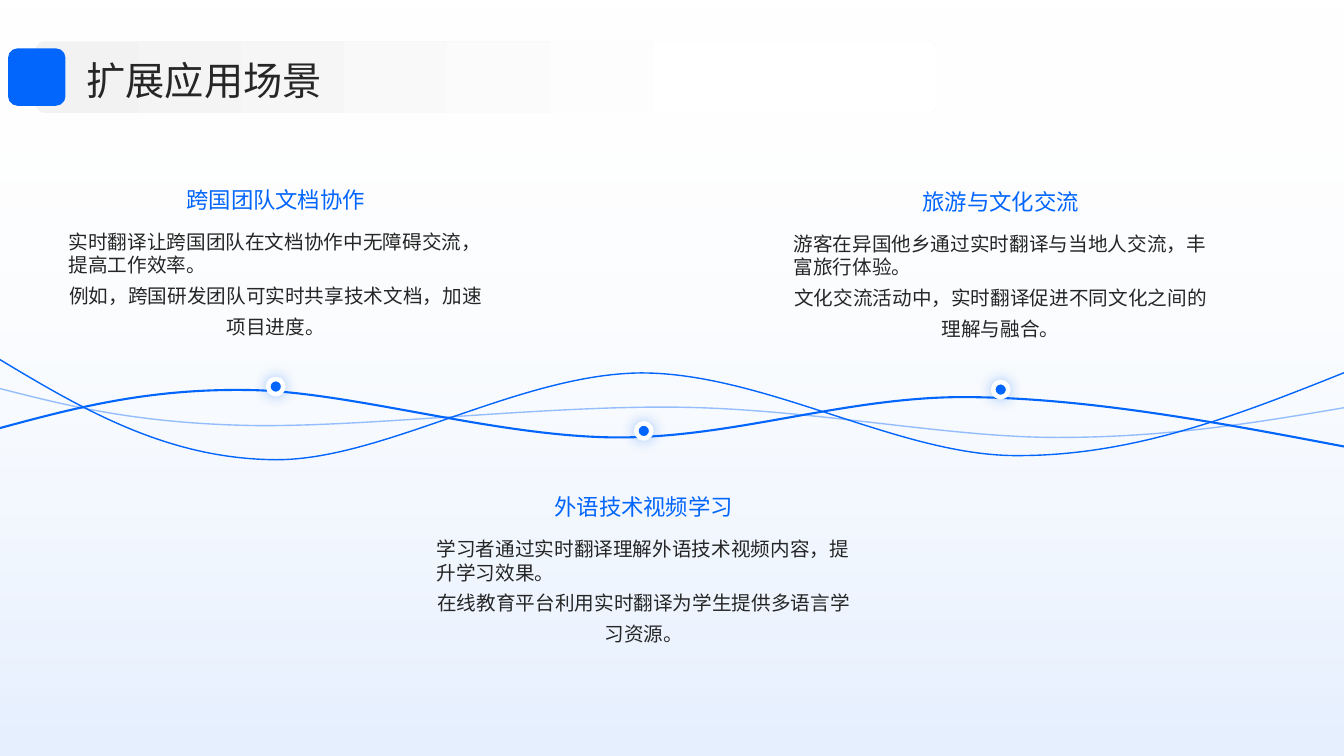
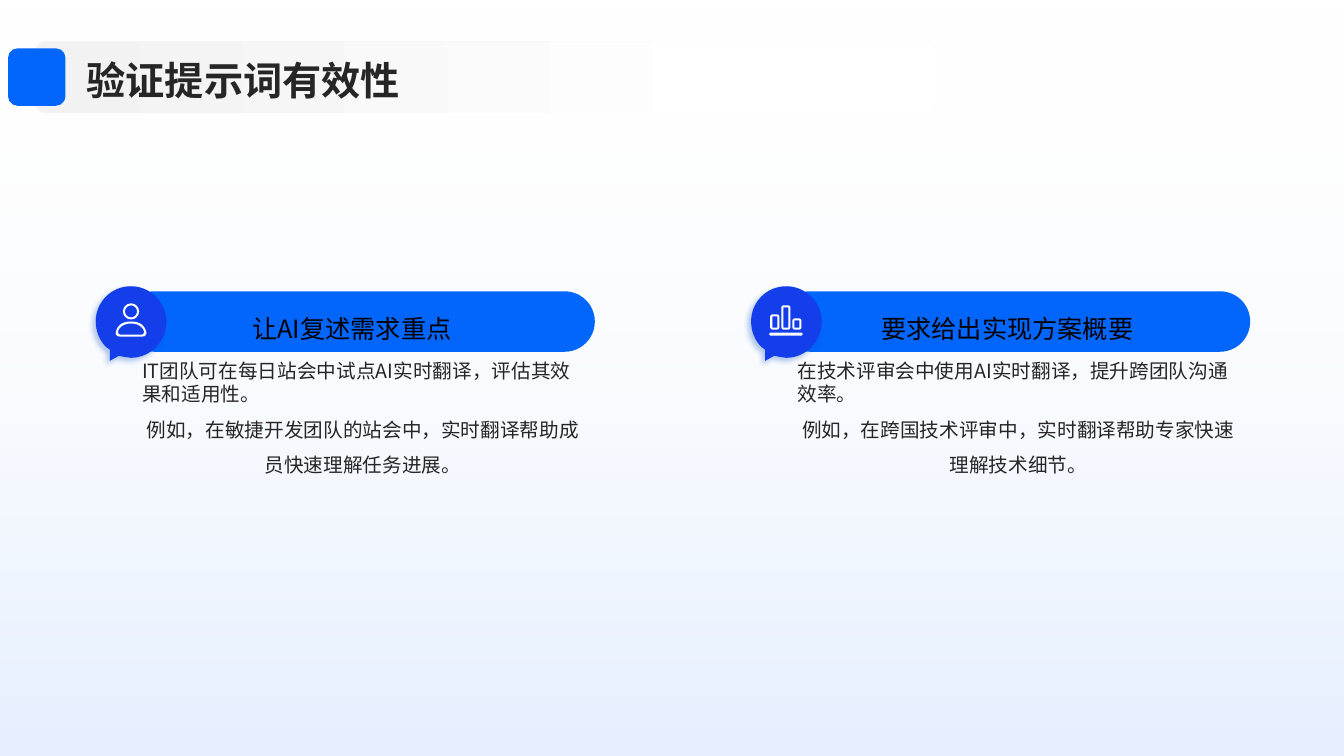
from lxml import etree
from pptx import Presentation
from pptx.dml.color import RGBColor
from pptx.enum import shapes, text
from pptx.oxml.ns import qn
from pptx.util import Pt

PX = 9144  # EMU per px, 100 px to the inch
SLIDE_W, SLIDE_H = 1333, 750
FONT = "Noto Sans CJK SC"

BLUE = RGBColor(0x02, 0x65, 0xFC)
DEEP_BLUE = RGBColor(0x15, 0x3E, 0xEB)
PALE_BLUE = RGBColor(0xCC, 0xE0, 0xFF)
DOT_GLOW = RGBColor(0x1A, 0x74, 0xFD)
BUBBLE_SHADE = RGBColor(0x01, 0x4C, 0xBD)
BAND_GREY = RGBColor(0xF2, 0xF2, 0xF2)
INK = RGBColor(0x26, 0x26, 0x26)
BLACK = RGBColor(0, 0, 0)
WHITE = RGBColor(0xFF, 0xFF, 0xFF)

RECT = shapes.MSO_SHAPE.RECTANGLE
ROUND = shapes.MSO_SHAPE.ROUNDED_RECTANGLE
OVAL = shapes.MSO_SHAPE.OVAL
LEFT, CENTER = text.PP_ALIGN.LEFT, text.PP_ALIGN.CENTER
TOP, MIDDLE, BOTTOM = (text.MSO_ANCHOR.TOP, text.MSO_ANCHOR.MIDDLE,
                       text.MSO_ANCHOR.BOTTOM)

# Contours: a start point, then segments of 2 (line) or 6 (curve) numbers.
# Each wave adds its line width and opacity in percent.
WAVES = [
    ((-1, 425), [(73, 405, 147, 385, 249, 387), (350, 389, 491, 433, 610, 434),
                 (728, 435, 839, 393, 960, 394), (1080, 395, 1207, 419, 1333, 443)],
     1.5, 100),
    ((-6, 384), [(61, 401, 128, 419, 242, 422), (355, 425, 539, 402, 674, 404),
                 (808, 406, 938, 434, 1049, 434), (1159, 434, 1248, 419, 1336, 404)],
     1, 40),
    ((-3, 355), [(80, 405, 163, 454, 269, 456), (376, 459, 513, 371, 636, 370),
                 (759, 370, 893, 453, 1010, 452), (1126, 452, 1230, 411, 1335, 369)],
     1, 100),
]
BUBBLE = ((130, 284), [(149, 284, 165, 300, 165, 319), (165, 339, 149, 355, 130, 355),
                       (127, 355, 125, 354, 123, 354), (118, 353), (109, 358),
                       (109, 347), (105, 344), (99, 338, 95, 329, 95, 319),
                       (95, 300, 110, 284, 130, 284)])
SHOULDERS_INNER = ((130, 321), [(138, 321, 142, 325, 143, 329), (143, 331, 142, 332, 141, 332),
                                (119, 332), (118, 332, 117, 331, 117, 329),
                                (118, 325, 122, 321, 130, 321)])
SHOULDERS_OUTER = ((130, 319), [(120, 319, 116, 324, 115, 329), (114, 332, 116, 334, 119, 334),
                                (141, 334), (144, 334, 146, 332, 145, 329),
                                (144, 324, 140, 319, 130, 319)])

SCENES = [  # left, top, heading, statement, example
    (68, 140, "跨国团队文档协作",
     "实时翻译让跨国团队在文档协作中无障碍交流，提高工作效率。",
     "例如，跨国研发团队可实时共享技术文档，加速项目进度。"),
    (787, 142, "旅游与文化交流",
     "游客在异国他乡通过实时翻译与当地人交流，丰富旅行体验。",
     "文化交流活动中，实时翻译促进不同文化之间的理解与融合。"),
    (433, 445, "外语技术视频学习",
     "学习者通过实时翻译理解外语技术视频内容，提升学习效果。",
     "在线教育平台利用实时翻译为学生提供多语言学习资源。"),
]
DOT_TOPS = [376, 379, 420]

CHECKS = [
    ("让AI复述需求重点",
     "IT团队可在每日站会中试点AI实时翻译，评估其效果和适用性。",
     "例如，在敏捷开发团队的站会中，实时翻译帮助成员快速理解任务进展。"),
    ("要求给出实现方案概要",
     "在技术评审会中使用AI实时翻译，提升跨团队沟通效率。",
     "例如，在跨国技术评审中，实时翻译帮助专家快速理解技术细节。"),
]
CHECK_STEP = 650


# Shapes

def set_alpha(color_element, percent):
    etree.SubElement(color_element, qn("a:alpha")).set("val", str(percent * 1000))


def paint(shape, fill=None, line=None, line_pt=1):
    shape.shadow.inherit = False
    if fill is None:
        shape.fill.background()
    else:
        shape.fill.solid()
        shape.fill.fore_color.rgb = fill
    if line is None:
        shape.line.fill.background()
    else:
        shape.line.color.rgb = line
        shape.line.width = Pt(line_pt)
    return shape


def add_preset(slide, kind, box, fill=None, line=None, line_pt=1, corner=None):
    shape = slide.shapes.add_shape(kind, *(n * PX for n in box))
    if corner is not None:
        shape.adjustments[0] = corner
    return paint(shape, fill, line, line_pt)


def add_gradient(shape, stops, angle, alphas=()):
    shape.fill.gradient()
    shape.fill.gradient_angle = angle
    for stop, (position, color) in zip(shape.fill.gradient_stops, stops):
        stop.position = position
        stop.color.rgb = color
    colors = list(shape._element.spPr.iter(qn("a:srgbClr")))
    for color, percent in zip(colors, alphas):
        set_alpha(color, percent)


def add_shadow(shape, color, alpha, blur, distance=0, direction=0):
    effects = shape._element.spPr.find(qn("a:effectLst"))
    shadow = etree.SubElement(effects, qn("a:outerShdw"), blurRad=str(Pt(blur)),
                              dist=str(Pt(distance)), dir=str(direction * 60000),
                              algn="ctr", rotWithShape="0")
    set_alpha(etree.SubElement(shadow, qn("a:srgbClr"), val=str(color)), alpha)


def rounded_contour(left, top, width, height, radius=0):
    """Return a rectangle contour; a radius of half its side makes a circle."""
    right, bottom, c = left + width, top + height, 0.45 * radius
    start = here = (left + radius, top)
    corners = [
        ((right - radius, top), (right - c, top, right, top + c, right, top + radius)),
        ((right, bottom - radius), (right, bottom - c, right - c, bottom, right - radius, bottom)),
        ((left + radius, bottom), (left + c, bottom, left, bottom - c, left, bottom - radius)),
        ((left, top + radius), (left, top + c, left + c, top, left + radius, top)),
    ]
    segments = []
    for side, curve in corners:
        if side != here:
            segments.append(side)
        if radius:
            segments.append(curve)
        here = curve[-2:]
    return start, segments


def add_outline(slide, contours, dx=0, close=True, **style):
    def to_emu(x, y):
        return round((x + dx) * PX), round(y * PX)

    builder = slide.shapes.build_freeform(*to_emu(*contours[0][0]), scale=1.0)
    for i, (start, segments) in enumerate(contours):
        if i:
            builder.move_to(*to_emu(*start))
        builder.add_line_segments([to_emu(*s[-2:]) for s in segments], close=close)
    shape = builder.convert_to_shape()

    # Bend the straight segments that have control points
    all_segments = [s for _, segments in contours for s in segments]
    lines = list(shape._element.spPr.iter(qn("a:lnTo")))
    for line, segment in zip(lines, all_segments):
        if len(segment) == 6:
            curve = etree.Element(qn("a:cubicBezTo"))
            for k in (0, 2, 4):
                x, y = to_emu(*segment[k:k + 2])
                etree.SubElement(curve, qn("a:pt"), x=str(x - shape.left), y=str(y - shape.top))
            line.getparent().replace(line, curve)
    return paint(shape, **style)


# Text

def add_text(slide, box, lines, size, color, anchor=TOP, inset=(0, 0), bold=None):
    """Each line is (words, alignment, line spacing)."""
    frame = slide.shapes.add_textbox(*(n * PX for n in box)).text_frame
    frame.word_wrap = True
    frame.vertical_anchor = anchor
    frame.margin_left = frame.margin_right = inset[0] * PX
    frame.margin_top = frame.margin_bottom = inset[1] * PX
    for i, (words, alignment, spacing) in enumerate(lines):
        paragraph = frame.add_paragraph() if i else frame.paragraphs[0]
        paragraph.text = words
        paragraph.alignment = alignment
        paragraph.line_spacing = spacing
        font = paragraph.font
        font.name, font.size, font.bold = FONT, Pt(size), bold
        font.color.rgb = color
        defaults = paragraph._p.pPr.find(qn("a:defRPr"))
        etree.SubElement(defaults, qn("a:ea"), typeface=FONT)


def add_body(slide, box, statement, example, spacing):
    add_text(slide, box, [(statement, LEFT, 1.0), (example, CENTER, spacing)], 14, INK)


# Shared slide parts

def add_page(prs, title, bold=None):
    slide = prs.slides.add_slide(prs.slide_layouts[6])
    backdrop = add_preset(slide, RECT, (0, 0, SLIDE_W, SLIDE_H))
    add_gradient(backdrop, [(0, WHITE), (1, PALE_BLUE)], 270, alphas=(0, 50))
    band = add_preset(slide, ROUND, (35, 41, 894, 71), corner=0.14)
    add_gradient(band, [(0, BAND_GREY), (0.8, WHITE)], 0)
    add_text(slide, (86, 51, 1167, 51), [(title, LEFT, 1.1)], 28, INK, MIDDLE, bold=bold)
    add_preset(slide, ROUND, (8, 48, 57, 57), BLUE)
    return slide


# Scenes along the waves

def add_waves(slide):
    for start, segments, width, opacity in WAVES:
        wave = add_outline(slide, [(start, segments)], close=False, line=BLUE, line_pt=width)
        if opacity < 100:
            set_alpha(next(wave._element.spPr.iter(qn("a:srgbClr"))), opacity)


def add_scene(slide, left, top, heading, statement, example, dot_top):
    dot = add_preset(slide, OVAL, (left + 198, dot_top, 15, 15), BLUE, WHITE, 3.25)
    add_shadow(dot, DOT_GLOW, 40, 10)
    add_text(slide, (left, top, 411, 76), [(heading, CENTER, 1.0)], 16, BLUE, BOTTOM, (10, 5))
    add_body(slide, (left, top + 88, 411, 135), statement, example, 1.3)


# Checks with a pill and a speech bubble

def person_icon():
    return [rounded_contour(124, 303, 12, 12, 6), rounded_contour(122, 301, 16, 16, 8),
            SHOULDERS_INNER, SHOULDERS_OUTER]


def bars_icon():
    contours = [rounded_contour(113, 330, 33, 3, 1)]
    for i, top in enumerate((312, 303, 316)):
        left = 114 + 11 * i
        contours.append(rounded_contour(left + 2, top + 2, 5, 323 - top))
        contours.append(rounded_contour(left, top, 9, 327 - top, 2))
    return contours


def add_check(slide, dx, heading, statement, example, icon):
    add_preset(slide, ROUND, (dx + 123, 289, 467, 60), BLUE, corner=0.5)
    bubble = add_outline(slide, [BUBBLE], dx, fill=DEEP_BLUE)
    add_shadow(bubble, BUBBLE_SHADE, 30, 4, 3, 135)
    add_outline(slide, icon, dx, fill=WHITE)
    add_text(slide, (dx + 169, 296, 360, 44), [(heading, CENTER, 1.5)], 18, BLACK, MIDDLE)
    add_body(slide, (dx + 141, 356, 438, 154), statement, example, 1.5)


def main():
    prs = Presentation()
    prs.slide_width, prs.slide_height = SLIDE_W * PX, SLIDE_H * PX

    scenes_page = add_page(prs, "扩展应用场景")
    add_waves(scenes_page)
    for scene, dot_top in zip(SCENES, DOT_TOPS):
        add_scene(scenes_page, *scene, dot_top)

    checks_page = add_page(prs, "验证提示词有效性", bold=True)
    for i, (check, icon) in enumerate(zip(CHECKS, (person_icon(), bars_icon()))):
        add_check(checks_page, i * CHECK_STEP, *check, icon)

    prs.save("out.pptx")


if __name__ == "__main__":
    main()
